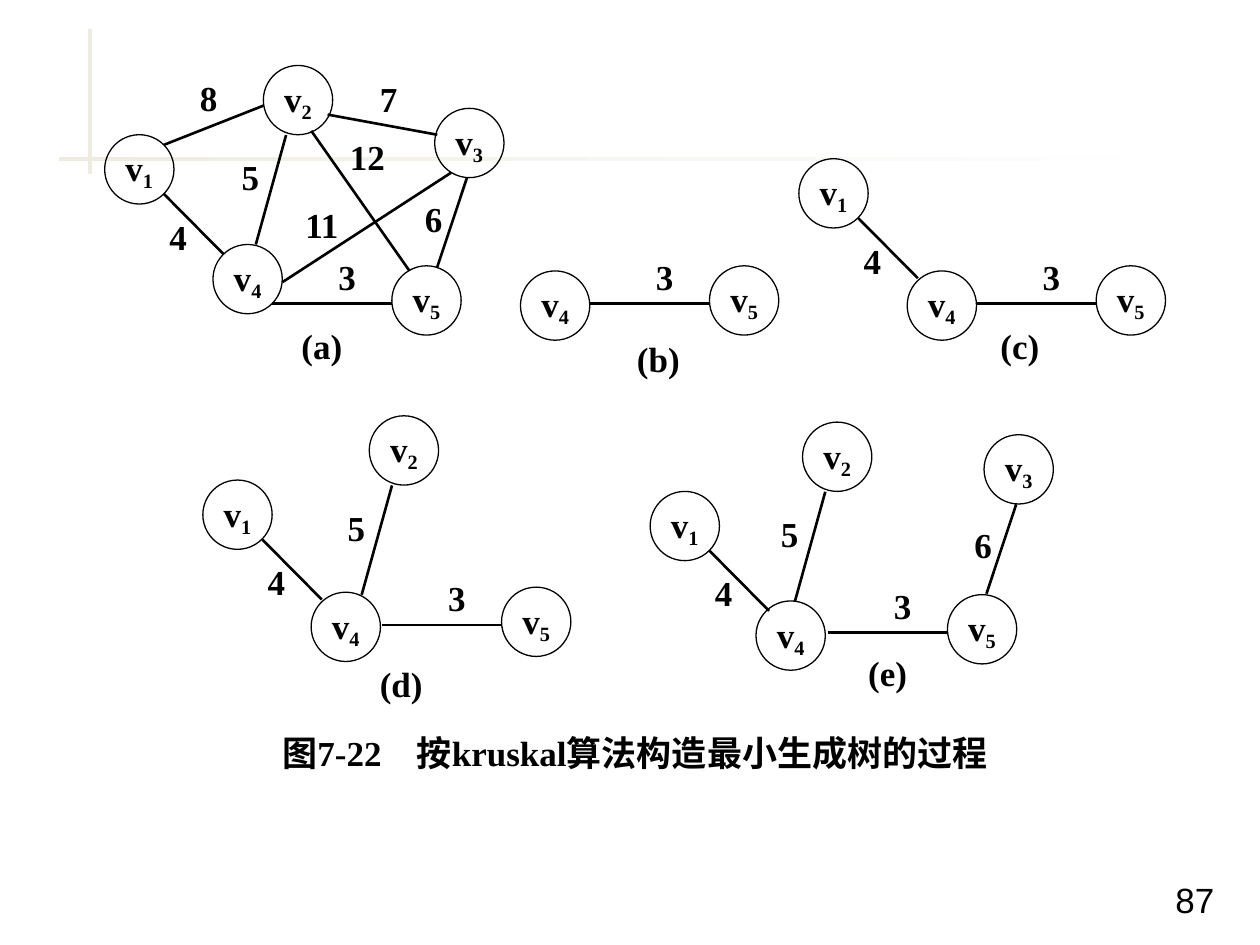
from lxml import etree
from pptx import Presentation
from pptx.dml.color import RGBColor
from pptx.enum import shapes as kinds, text as txt
from pptx.oxml.ns import qn
from pptx.util import Pt

COLORS = {"ink": "000000", "rule": "EEECE1", "paper": "FFFFFF"}
RGB = {name: RGBColor.from_string(value) for name, value in COLORS.items()}
NODE = 39.6
LABEL = 28.08

deck = Presentation()
deck.slide_width, deck.slide_height = Pt(720), Pt(540)
slide = deck.slides.add_slide(deck.slide_layouts[6])


def write(shape, words, subscript="", font="Times New Roman", bold=True, centred=True):
    frame = shape.text_frame
    frame.word_wrap = False
    frame.vertical_anchor = txt.MSO_ANCHOR.MIDDLE if centred else txt.MSO_ANCHOR.TOP
    if centred:
        frame.margin_left = frame.margin_right = 0
    line = frame.paragraphs[0]
    line.alignment = txt.PP_ALIGN.CENTER if centred else txt.PP_ALIGN.LEFT
    line.line_spacing = 0.9
    line.space_before = Pt(4)
    for part in filter(None, (words, subscript)):
        run = line.add_run()
        run.text = part
        run.font.name, run.font.size, run.font.bold = font, Pt(20), bold
        run.font.color.rgb = RGB["ink"]
    if subscript:
        run.font._element.set("baseline", "-20000")


def text_at(x, y, width, words, **style):
    box = slide.shapes.add_textbox(Pt(x), Pt(y), Pt(width), Pt(LABEL))
    write(box, words, **style)


# Crossed background rules
for x, y, width, height in [(50.4, 16.56, 2.16, 82.8), (33.84, 90, 648, 2.16)]:
    rule = slide.shapes.add_shape(kinds.MSO_SHAPE.RECTANGLE, Pt(x), Pt(y), Pt(width), Pt(height))
    rule.shadow.inherit = False
    rule.line.fill.background()
    if height > width:
        rule.fill.solid()
        rule.fill.fore_color.rgb = RGB["rule"]
    else:
        rule.fill.gradient()
        rule.fill.gradient_angle = 0
        for stop, shade in zip(rule.fill.gradient_stops, ("rule", "paper")):
            stop.color.rgb = RGB[shade]

# Edge by weight: anchor vertex, then start, end and label as offsets from it
edges = {
    4: (1, (34, 34), (68, 68.3), (28, 45.4)),
    8: (1, (33.8, 5.8), (90.7, -16.6), (45.4, -33.8)),
    5: (2, (13, 39.8), (-4.3, 102.3), (-21.4, 51.1)),
    7: (2, (36.7, 28.1), (99.4, 39.6), (57.6, 6.5)),
    12: (2, (27.4, 37.4), (83.5, 117.4), (45.4, 39.6)),
    11: (4, (39.6, 21.6), (136.1, -41), (48.2, -23.8)),
    3: (5, (-68.4, 21.6), (0, 21.6), (-39.6, -6.5)),
    6: (3, (18.4, 39.8), (1.4, 90.9), (-14.6, 50.4)),
}

# Stage: letter, its place, vertices, weights of the chosen edges
stages = [
    ("a", (167, 185), {1: (59.8, 77), 2: (150.5, 37.4), 3: (248.4, 61.9),
                       4: (121.7, 139.7), 5: (223.9, 151.9)}, list(edges)),
    ("b", (359.3, 192.2), {4: (297.4, 154.8), 5: (405.4, 151.9)}, [3]),
    ("c", (565.9, 185), {1: (456.5, 90.7), 4: (518.4, 154.8), 5: (626.4, 151.9)}, [3, 4]),
    ("d", (212.4, 378), {1: (115.9, 274.3), 2: (211, 237.6), 4: (177.8, 338.4),
                         5: (286.6, 335.5)}, [3, 4, 5]),
    ("e", (490.3, 371.5), {1: (371.5, 280.8), 2: (458.6, 241.2), 3: (562.3, 248.4),
                           4: (432, 343.4), 5: (541.4, 339.8)}, [3, 4, 5, 6]),
]

for letter, letter_at, vertices, weights in stages:
    # Vertices
    for number, (x, y) in vertices.items():
        vertex = slide.shapes.add_shape(kinds.MSO_SHAPE.OVAL, Pt(x), Pt(y), Pt(NODE), Pt(NODE))
        vertex.shadow.inherit = False
        vertex.fill.background()
        vertex.line.color.rgb = RGB["ink"]
        vertex.line.width = Pt(0.75)
        write(vertex, "v", str(number))

    # Weighted edges
    for weight in weights:
        anchor, *offsets = edges[weight]
        x, y = vertices[anchor]
        start, end, label = [(x + dx, y + dy) for dx, dy in offsets]
        edge = slide.shapes.add_connector(kinds.MSO_CONNECTOR.STRAIGHT, *map(Pt, start + end))
        edge.line.color.rgb = RGB["ink"]
        edge.line.width = Pt(1.5)
        etree.SubElement(edge._element.spPr, qn("a:effectLst"))
        text_at(*label, LABEL, str(weight))

    text_at(*letter_at, 33.84, f"({letter})")

# Figure caption and page number
text_at(145.48, 417.6, 434.8, "图7-22　按kruskal算法构造最小生成树的过程")
text_at(664.56, 501.12, 56.16, "87", font="Arial", bold=False, centred=False)

deck.save("out.pptx")
